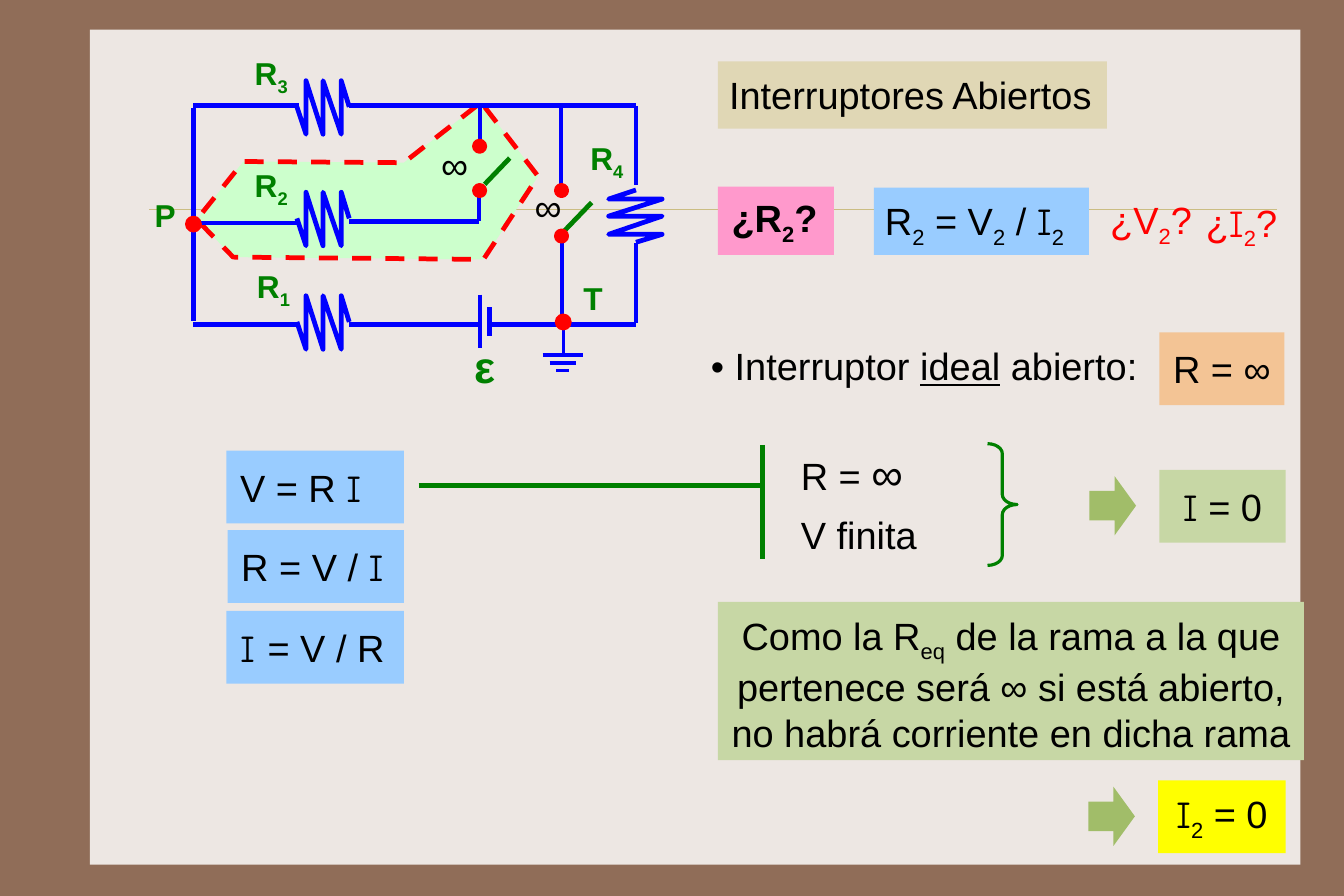
from dataclasses import dataclass
from typing import NamedTuple

from lxml import etree
from pptx import Presentation
from pptx import util as u
from pptx.dml.color import RGBColor
from pptx.enum import dml, shapes, text
from pptx.oxml import ns

SLIDE_WIDTH, SLIDE_HEIGHT = u.Pt(850.5), u.Pt(567)
# Places are counted in columns and rows of a grid of square cells.
CELL = u.Inches(0.1)

COLORS = {
    "brown": "906D58", "paper": "EDE7E3", "rule": "CBBD83", "mint": "CCFFCC",
    "red": "FF0000", "green": "008000", "blue": "0000FF", "black": "000000",
    "sage": "C7D7A5", "arrow": "A1BD69", "sand": "E0D7B5", "sky": "99CCFF",
    "pink": "FF99CC", "peach": "F3C495", "yellow": "FFFF00",
}
BODY_FONT, CURRENT_FONT = "Arial", "Comic Neue"


class Run(NamedTuple):
    text: str
    subscript: bool = False
    font: str | None = None
    underline: bool = False
    size: float | None = None


class Line(NamedTuple):
    x1: float
    y1: float
    x2: float
    y2: float
    color: str = "blue"
    width: float = 3


class Dot(NamedTuple):
    left: float
    top: float
    size: float
    border: float


class Resistor(NamedTuple):
    x: float
    y: float
    vertical: bool = False


@dataclass
class Label:
    left: float
    top: float
    width: float
    height: float
    runs: tuple[Run, ...]
    fill: str | None = None
    color: str = "black"
    size: float = 24
    bold: bool = False
    padded: bool = False
    centered: bool = False
    wrap: bool = False
    grow: bool = True


CURRENT = Run("I", font=CURRENT_FONT)
SUB_2 = Run("2", subscript=True)
INFINITY = (Run("∞"),)

OPEN_BRANCH = ((41.9, 9.3), (35.5, 14.3), (21.4, 14.2), (17.3, 19.3),
               (20.5, 22.6), (42.5, 22.8), (47.3, 15.5), (42.6, 9.4))

ZIGZAG = ((0, 0), (0.8, 2.4), (0.8, -2.3), (2.3, 2.4), (2.3, -2.3),
          (3.9, 2.4), (3.9, -2.3), (4.6, 0))
RESISTORS = (Resistor(26.1, 9.4), Resistor(26.1, 19.2), Resistor(26.1, 28.3),
             Resistor(55.9, 16.7, vertical=True))

LINES = (
    # Switches
    Line(49.5, 20.4, 52, 17.8, "green"), Line(42.6, 16.2, 44.8, 13.9, "green"),
    # Battery
    Line(43, 27, 43, 29.5), Line(42.2, 25.9, 42.2, 30.6),
    # Horizontal wires
    Line(17, 9.3, 26.3, 9.3), Line(30.7, 9.3, 55.9, 9.3),
    Line(16.9, 19.6, 26.2, 19.6), Line(30.7, 19.5, 42.1, 19.5),
    Line(17, 28.5, 26.3, 28.5), Line(30.7, 28.5, 42.2, 28.5),
    Line(43, 28.5, 55.9, 28.5),
    # Vertical wires
    Line(17, 9.5, 17, 28.2), Line(42.2, 9.3, 42.2, 12.4),
    Line(42.1, 16.3, 42.1, 19.4), Line(49.3, 9.3, 49.3, 16.3),
    Line(49.4, 21.3, 49.4, 28.3), Line(55.9, 9.3, 55.9, 16.3),
    Line(55.9, 21.4, 55.9, 28.4),
    # Ground
    Line(49.5, 28.5, 49.5, 31.2, width=2), Line(47.7, 31.2, 51.2, 31.2, width=2),
    Line(48.3, 31.9, 50.6, 31.9, width=2), Line(48.9, 32.6, 50, 32.6, width=2),
    # Bracket of Ohm's law
    Line(36.8, 42.7, 66.8, 42.7, "green"), Line(67, 39.1, 67, 49.1, "green"),
)

DOTS = (Dot(48.9, 16.3, 0.9, 3), Dot(41.7, 16.3, 0.9, 3), Dot(41.7, 12.4, 0.9, 3),
        Dot(48.9, 20.3, 0.9, 3), Dot(48.9, 27.7, 1.2, 2), Dot(16.4, 19.1, 1.2, 2))

ARROW_CORNERS = ((95.75, 41.85), (95.65, 69.15))


def circuit_label(left: float, top: float, name: str, index: str = "") -> Label:
    runs = (Run(name), Run(index, subscript=True)) if index else (Run(name),)
    return Label(left, top, 5 if index else 3.8, 5.1, runs,
                 color="green", size=20, bold=True)


LABELS = (
    Label(40.7, 28.9, 4, 5.7, (Run("ε"),), color="green", size=28, bold=True),
    circuit_label(21.6, 22.6, "R", "1"),
    circuit_label(21.4, 13.7, "R", "2"),
    circuit_label(21.4, 3.8, "R", "3"),
    circuit_label(50.9, 11.3, "R", "4"),
    circuit_label(12.6, 16.3, "P"),
    circuit_label(50.3, 23.6, "T"),
    Label(37.8, 11.5, 4.4, 5.8, INFINITY),
    Label(46, 15.2, 4.4, 5.8, INFINITY),
    Label(63.1, 5.4, 34.2, 5.9, (Run("Interruptores Abiertos"),), "sand"),
    Label(63.1, 16.4, 10.2, 6, (Run("¿R"), SUB_2, Run("?")), "pink",
          bold=True, padded=True),
    Label(76.8, 16.5, 18.9, 5.9,
          (Run("R"), SUB_2, Run(" = V"), SUB_2, Run(" / "), CURRENT, SUB_2), "sky"),
    Label(96.6, 16.4, 9.4, 5.8, (Run("¿V"), SUB_2, Run("?")), color="red"),
    Label(105, 16.6, 9, 5.8, (Run("¿"), CURRENT, SUB_2, Run("?")), color="red"),
    Label(61.5, 29.2, 41, 5.1, (Run("• Interruptor "), Run("ideal", underline=True),
                                Run(" abierto:")), grow=False),
    Label(101.9, 29.2, 11, 6.4, (Run("R = ∞"),), "peach", padded=True),
    Label(19.9, 39.6, 15.6, 6.4, (Run("V = R "), CURRENT), "sky",
          padded=True, wrap=True),
    Label(20, 46.6, 15.5, 6.4, (Run("R = V / "), CURRENT), "sky", padded=True),
    Label(19.9, 53.7, 15.6, 6.4, (Run("I ", font=CURRENT_FONT), Run("= V / R")),
          "sky", padded=True),
    Label(69.4, 38.3, 11.5, 5.8, (Run("R = "), Run("∞", size=28)), grow=False),
    Label(69.4, 44.1, 12.5, 5.8, (Run("V finita"),), grow=False),
    Label(101.9, 41.3, 11.1, 6.4, (CURRENT, Run(" = 0")), "sage",
          padded=True, centered=True, wrap=True),
    Label(63.1, 52.9, 51.5, 13.9,
          (Run("Como la R"), Run("eq", subscript=True),
           Run(" de la rama a la que pertenece será ∞ si está abierto, "
               "no habrá corriente en dicha rama")),
          "sage", centered=True, wrap=True),
    Label(101.8, 68.6, 11.2, 6.4, (CURRENT, SUB_2, Run(" = 0")), "yellow",
          padded=True, centered=True),
)


def cells(*counts: float) -> list[u.Emu]:
    return [u.Emu(round(count * CELL)) for count in counts]


def rgb(name: str) -> RGBColor:
    return RGBColor.from_string(COLORS[name])


def paint(shape, fill: str | None, border: str | None = None, width: float = 3) -> None:
    shape.shadow.inherit = False
    if fill:
        shape.fill.solid()
        shape.fill.fore_color.rgb = rgb(fill)
    else:
        shape.fill.background()
    if border:
        shape.line.color.rgb = rgb(border)
        shape.line.width = u.Pt(width)
    else:
        shape.line.fill.background()


def draw_preset(slide, kind, box: tuple[float, ...], fill: str | None,
                border: str | None = None, width: float = 3):
    shape = slide.shapes.add_shape(kind, *cells(*box))
    paint(shape, fill, border, width)
    return shape


def draw_line(slide, line: Line) -> None:
    connector = slide.shapes.add_connector(
        shapes.MSO_CONNECTOR.STRAIGHT, *cells(line.x1, line.y1, line.x2, line.y2))
    connector.line.color.rgb = rgb(line.color)
    connector.line.width = u.Pt(line.width)
    etree.SubElement(connector.element.spPr, ns.qn("a:effectLst"))


def draw_outline(slide, points, closed: bool):
    first, *rest = [cells(*point) for point in points]
    builder = slide.shapes.build_freeform(*first)
    builder.add_line_segments(rest, close=closed)
    return builder.convert_to_shape()


def draw_resistor(slide, resistor: Resistor) -> None:
    x, y, vertical = resistor
    points = [(x - across, y + along) if vertical else (x + along, y + across)
              for along, across in ZIGZAG]
    paint(draw_outline(slide, points, closed=False), None, "blue")


def draw_label(slide, label: Label) -> None:
    box = (label.left, label.top, label.width, label.height)
    if label.fill:
        shape = draw_preset(slide, shapes.MSO_SHAPE.RECTANGLE, box, label.fill)
    else:
        shape = slide.shapes.add_textbox(*cells(*box))
    frame = shape.text_frame
    frame.word_wrap = label.wrap
    sizing = text.MSO_AUTO_SIZE
    frame.auto_size = sizing.SHAPE_TO_FIT_TEXT if label.grow else sizing.NONE
    frame.vertical_anchor = text.MSO_ANCHOR.MIDDLE if label.padded else text.MSO_ANCHOR.TOP
    side, edge = cells(1.2, 1.2) if label.padded else cells(1, 0.9)
    frame.margin_left = frame.margin_right = side
    frame.margin_top = frame.margin_bottom = edge
    paragraph = frame.paragraphs[0]
    paragraph.alignment = text.PP_ALIGN.CENTER if label.centered else text.PP_ALIGN.LEFT
    paragraph.font.name = BODY_FONT
    paragraph.font.size = u.Pt(label.size)
    paragraph.font.bold = label.bold
    paragraph.font.color.rgb = rgb(label.color)
    for part in label.runs:
        run = paragraph.add_run()
        run.text = part.text
        if part.font:
            run.font.name = part.font
        if part.size:
            run.font.size = u.Pt(part.size)
        if part.underline:
            run.font.underline = True
        if part.subscript:
            run.font._element.set("baseline", "-25000")


def main() -> None:
    presentation = Presentation()
    presentation.slide_width, presentation.slide_height = SLIDE_WIDTH, SLIDE_HEIGHT
    slide = presentation.slides.add_slide(presentation.slide_layouts[6])
    slide.background.fill.solid()
    slide.background.fill.fore_color.rgb = rgb("brown")
    draw_preset(slide, shapes.MSO_SHAPE.RECTANGLE, (7.9, 2.6, 106.4, 73.4), "paper")
    draw_line(slide, Line(13.1, 18.4, 112.2, 18.4, "rule", 0.25))

    branch = draw_outline(slide, OPEN_BRANCH, closed=True)
    paint(branch, "mint", "red")
    branch.line.dash_style = dml.MSO_LINE.DASH
    for line in LINES:
        draw_line(slide, line)
    for resistor in RESISTORS:
        draw_resistor(slide, resistor)
    for left, top, size, border in DOTS:
        draw_preset(slide, shapes.MSO_SHAPE.OVAL, (left, top, size, size), "red", "red", border)

    brace = draw_preset(slide, shapes.MSO_SHAPE.RIGHT_BRACE, (86.8, 39, 2.6, 10.7),
                        None, "green", 2)
    brace.adjustments[0] = 0.34
    for corner in ARROW_CORNERS:
        arrow = draw_preset(slide, shapes.MSO_SHAPE.RIGHT_ARROW, (*corner, 4.1, 5.2), "arrow")
        arrow.adjustments[1] = 0.46
    for label in LABELS:
        draw_label(slide, label)
    presentation.save("out.pptx")


if __name__ == "__main__":
    main()
